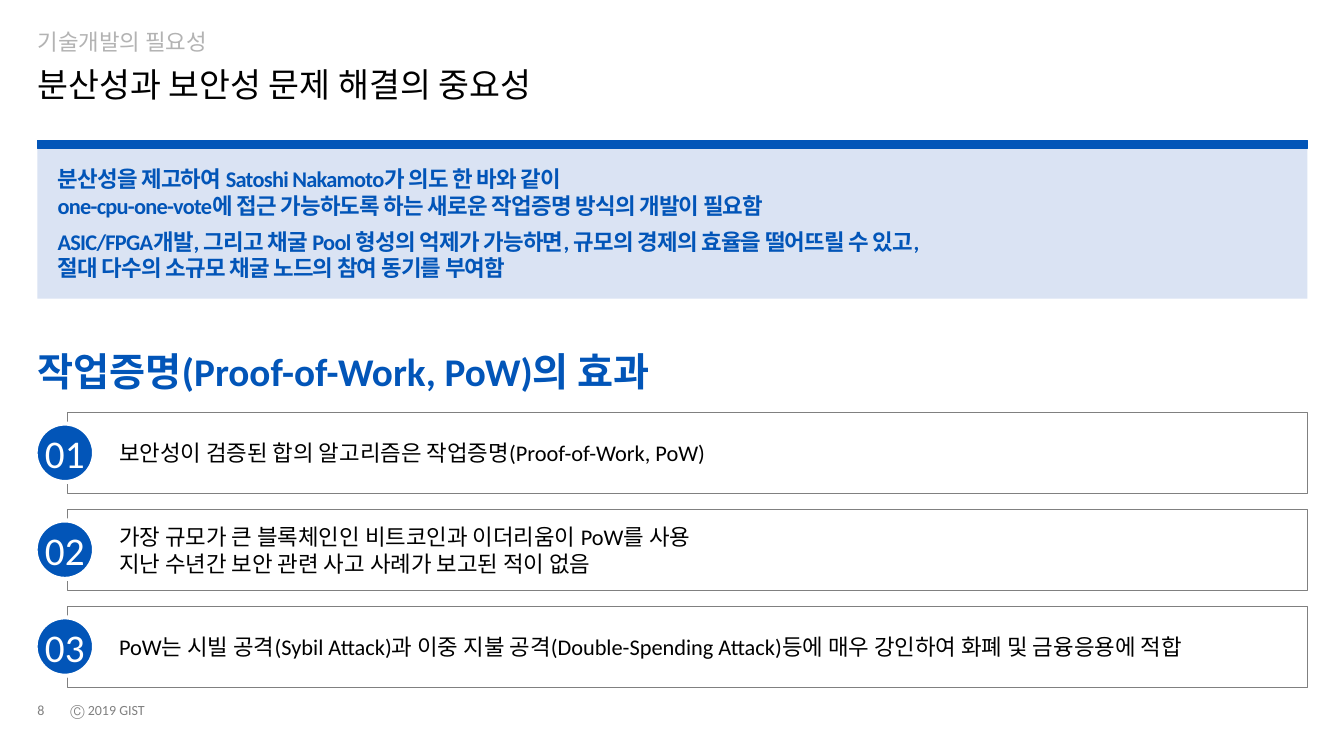
from copy import deepcopy

from lxml.etree import SubElement
from pptx import Presentation
from pptx.dml.color import RGBColor
from pptx.enum.shapes import MSO_SHAPE as Shape
from pptx.enum.text import MSO_ANCHOR as Anchor, MSO_AUTO_SIZE as AutoSize, PP_ALIGN as Align
from pptx.oxml.ns import qn
from pptx.util import Pt

# Content
SECTION = "기술개발의 필요성"
TITLE = "분산성과 보안성 문제 해결의 중요성"
SUMMARY = [
    "분산성을 제고하여 Satoshi Nakamoto가 의도 한 바와 같이\n"
    "one-cpu-one-vote에 접근 가능하도록 하는 새로운 작업증명 방식의 개발이 필요함",
    "ASIC/FPGA개발, 그리고 채굴 Pool 형성의 억제가 가능하면, 규모의 경제의 효율을 떨어뜨릴 수 있고,\n"
    "절대 다수의 소규모 채굴 노드의 참여 동기를 부여함",
]
HEADING = "작업증명(Proof-of-Work, PoW)의 효과"
EFFECTS = [
    ["보안성이 검증된 합의 알고리즘은 작업증명(Proof-of-Work, PoW)"],
    ["가장 규모가 큰 블록체인인 비트코인과 이더리움이 PoW를 사용",
     "지난 수년간 보안 관련 사고 사례가 보고된 적이 없음"],
    ["PoW는 시빌 공격(Sybil Attack)과 이중 지불 공격(Double-Spending Attack)등에 "
     "매우 강인하여 화폐 및 금융응용에 적합"],
]
PAGE = "8"
COPYRIGHT = "Ⓒ 2019 GIST"

# Style and layout, in points
COLORS = {"blue": "0255B8", "pale": "DAE3F3", "gray": "808080",
          "light": "B3B3B3", "black": "000000", "white": "FFFFFF"}
FONT = "Calibri"
LEFT, WIDTH = 26.8, 907.2
RIGHT = LEFT + WIDTH
CARD_LEFT, CARD_TOP, CARD_HEIGHT, CARD_STEP = 48.4, 294.5, 57.8, 69.2
BADGE_LEFT, BADGE = 25.4, 41.8


def color(name):
    return RGBColor.from_string(COLORS[name])


def write(holder, paragraphs, size=16, ink="black", bold=None, align=Align.LEFT,
          anchor=Anchor.MIDDLE, insets=(7.2, 3.6, 7.2, 3.6), wrap=True, grow=False,
          before=0, line=None, spacing=None):
    frame = holder.text_frame
    frame.word_wrap = wrap
    frame.auto_size = AutoSize.SHAPE_TO_FIT_TEXT if grow else AutoSize.NONE
    frame.vertical_anchor = anchor
    (frame.margin_left, frame.margin_top,
     frame.margin_right, frame.margin_bottom) = map(Pt, insets)
    for index, text in enumerate(paragraphs):
        para = frame.add_paragraph() if index else frame.paragraphs[0]
        para.text = text
        para.alignment = align
        para.space_before = Pt(before if index else 0)
        if line:
            para.line_spacing = line
        for run in para.runs:
            font = run.font
            font.name, font.size, font.bold = FONT, Pt(size), bold
            font.color.rgb = color(ink)
            if spacing is not None:
                font._element.set("spc", str(int(spacing * 100)))
        # Line breaks take the format of the text around them
        for line_break in para._p.findall(qn("a:br")):
            line_break.append(deepcopy(para.runs[0].font._element))


def place(holder, left, top, width, height):
    holder.left, holder.top, holder.width, holder.height = map(Pt, (left, top, width, height))


def add_box(slide, kind, left, top, width, height, fill=None, outline=None, weight=1):
    box = slide.shapes.add_shape(kind, *map(Pt, (left, top, width, height)))
    box.shadow.inherit = False
    if fill:
        box.fill.solid()
        box.fill.fore_color.rgb = color(fill)
    else:
        box.fill.background()
    if outline:
        box.line.color.rgb = color(outline)
        box.line.width = Pt(weight)
    else:
        box.line.fill.background()
    return box


def add_label(slide, left, top, width, height, text, **style):
    label = slide.shapes.add_textbox(*map(Pt, (left, top, width, height)))
    write(label, [text], wrap=False, **style)


def main():
    prs = Presentation()
    prs.slide_width, prs.slide_height = Pt(960), Pt(540)
    slide = prs.slides.add_slide(prs.slide_layouts[1])

    # Footer
    add_label(slide, 43.2, 497.5, 68.4, 19.4, COPYRIGHT, size=10, ink="gray")
    add_label(slide, LEFT, 498.2, 28, 17.3, PAGE, size=10, ink="gray", insets=(0, 0, 0, 0))

    # Title and section name
    title, section = slide.placeholders
    place(title, LEFT, 45.4, WIDTH, 33.1)
    write(title, [TITLE], size=24, anchor=Anchor.TOP, insets=(0, 3.6, 7.2, 3.6), line=0.9)
    place(section, LEFT, 18.7, WIDTH, 24.5)
    write(section, [SECTION], ink="light", anchor=Anchor.BOTTOM, grow=True,
          insets=(0, 3.6, 5.8, 3.6), line=0.9)
    section_format = section.text_frame.paragraphs[0]._p.get_or_add_pPr()
    section_format.set("marL", "0")
    section_format.set("indent", "0")
    SubElement(section_format, qn("a:buNone"))

    # Summary panel under a blue bar
    summary = add_box(slide, Shape.RECTANGLE, LEFT, 106, WIDTH, 107.3, fill="pale")
    write(summary, SUMMARY, ink="blue", bold=True, insets=(14.4, 3.6, 28, 3.6),
          before=6, spacing=-0.5)
    add_box(slide, Shape.RECTANGLE, LEFT, 100.2, WIDTH, 5.8, fill="blue", outline="blue")

    # Effects: numbered cards
    add_label(slide, 20, 244.8, 474.5, 41, HEADING, size=28, ink="blue", bold=True,
              anchor=Anchor.TOP, grow=True)
    for index, effect in enumerate(EFFECTS):
        top = CARD_TOP + index * CARD_STEP
        card = add_box(slide, Shape.RECTANGLE, CARD_LEFT, top, RIGHT - CARD_LEFT,
                       CARD_HEIGHT, outline="gray", weight=0.5)
        write(card, effect, insets=(36.7, 3.6, 7.2, 3.6))
        badge = add_box(slide, Shape.OVAL, BADGE_LEFT, top + (CARD_HEIGHT - BADGE) / 2,
                        BADGE, BADGE, fill="blue", outline="white", weight=3)
        write(badge, [f"{index + 1:02}"], size=28, ink="white", align=Align.CENTER,
              insets=(0, 0, 0, 0))

    prs.save("out.pptx")


if __name__ == "__main__":
    main()
